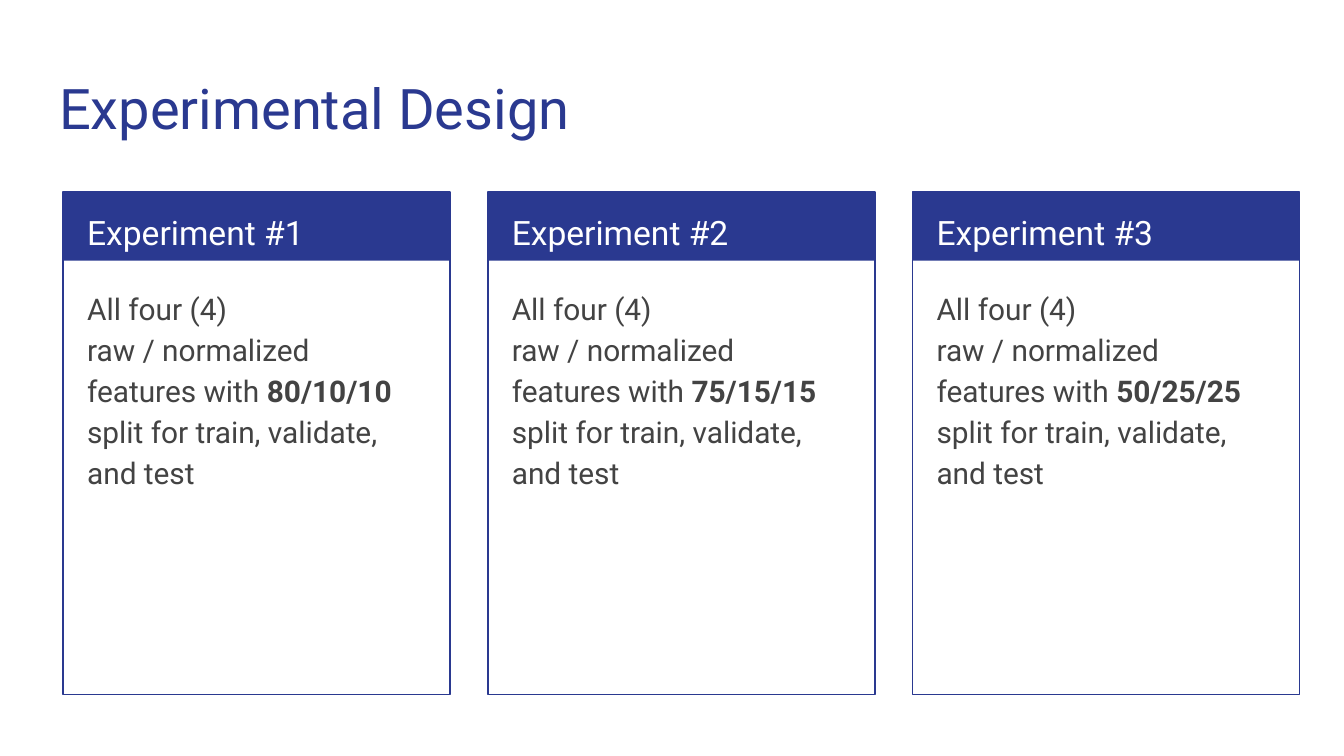
import pptx
import pptx.util
import pptx.dml.color
import pptx.enum.shapes
import pptx.enum.text

Inches, Pt = pptx.util.Inches, pptx.util.Pt
RGB = pptx.dml.color.RGBColor.from_string
RECT = pptx.enum.shapes.MSO_SHAPE.RECTANGLE
COLORS = {"navy": "2A3990", "white": "FFFFFF", "gray": "434343"}
FONT = "Roboto"

# Card grid, in inches
LEFT, PITCH, CARD_W = 0.47, 3.16, 2.88
TOP, HEADER_H, CARD_H = 1.43, 0.51, 3.74
PAD = 0.08
SPLITS = ["80/10/10", "75/15/15", "50/25/25"]


def format_text(tf, size, color):
    tf.word_wrap = True
    tf.auto_size = pptx.enum.text.MSO_AUTO_SIZE.NONE
    tf.vertical_anchor = pptx.enum.text.MSO_ANCHOR.TOP
    tf.margin_left = tf.margin_right = Inches(0.1)
    tf.margin_top = tf.margin_bottom = Inches(0.1)
    for p in tf.paragraphs:
        p.alignment = pptx.enum.text.PP_ALIGN.LEFT
        for r in p.runs:
            r.font.name = FONT
            r.font.size = Pt(size)
            r.font.color.rgb = RGB(COLORS[color])


def add_text(s, x, y, w, h):
    return s.shapes.add_textbox(Inches(x), Inches(y), Inches(w), Inches(h)).text_frame


prs = pptx.Presentation()
prs.slide_width = Inches(10)
prs.slide_height = prs.slide_width * 9 // 16
s = prs.slides.add_slide(prs.slide_layouts[5])

title = s.shapes.title
title.left, title.top = Inches(0.34), Inches(0.45)
title.width, title.height = Inches(9.32), Inches(0.66)
title.text_frame.text = "Experimental Design"
format_text(title.text_frame, 30, "navy")

for i, split in enumerate(SPLITS):
    x = LEFT + i * PITCH

    card = s.shapes.add_group_shape()
    header, frame = [
        card.shapes.add_shape(RECT, Inches(x), Inches(TOP), Inches(CARD_W), Inches(h))
        for h in (HEADER_H, CARD_H)
    ]
    header.shadow.inherit = frame.shadow.inherit = False
    header.fill.solid()
    header.fill.fore_color.rgb = RGB(COLORS["navy"])
    header.line.fill.background()
    frame.fill.background()
    frame.line.color.rgb = RGB(COLORS["navy"])
    frame.line.width = Pt(0.75)

    tf = add_text(s, x + PAD, TOP, CARD_W - 2 * PAD, HEADER_H)
    tf.text = f"Experiment #{i + 1}"
    tf.paragraphs[0].line_spacing = 1.15
    format_text(tf, 18, "white")

    tf = add_text(s, x + PAD, 2.02, CARD_W - 2 * PAD, 3.06)
    p = tf.paragraphs[0]
    p.text = "All four (4) \vraw / normalized features with "
    r = p.add_run()
    r.text = split
    r.font.bold = True
    p.add_run().text = " split for train, validate, and test"
    p.line_spacing = 1.15
    p.space_after = Pt(16)
    format_text(tf, 16, "gray")

prs.save("out.pptx")
